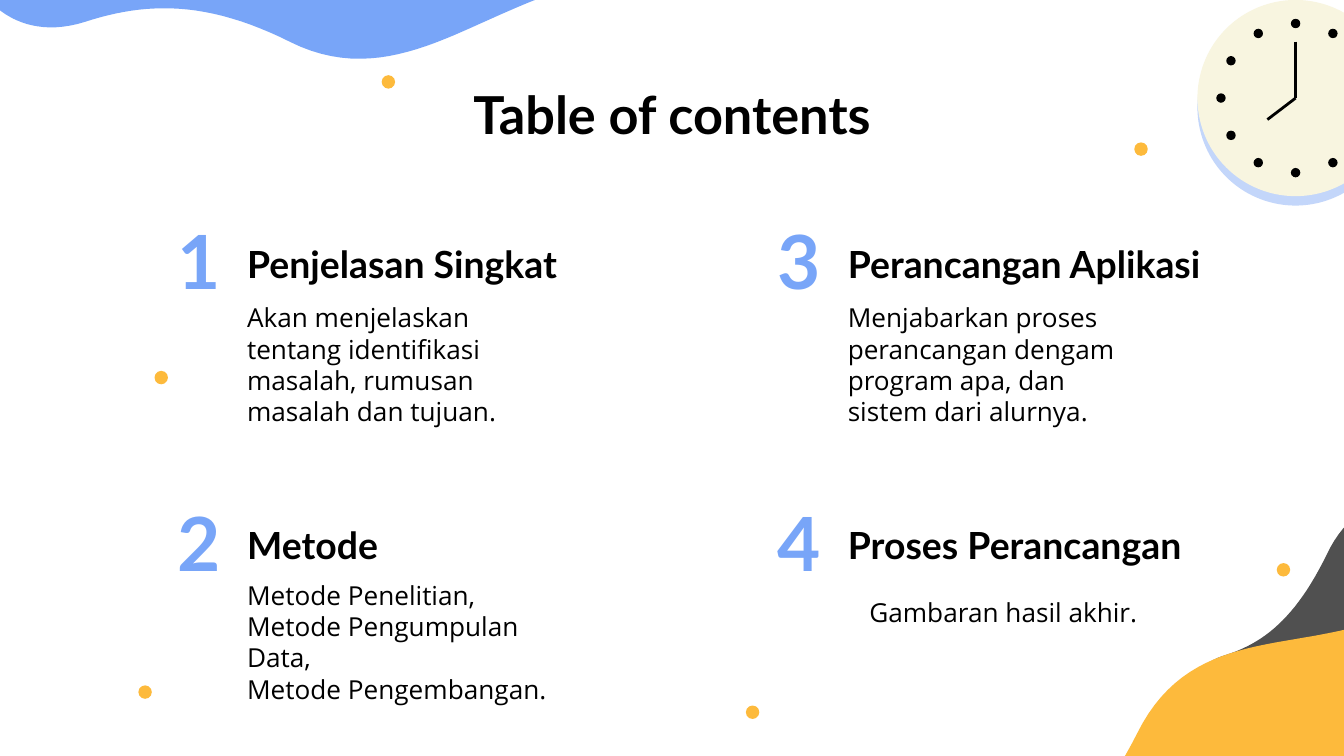
from math import cos, radians, sin
from lxml.etree import SubElement
from pptx import Presentation
from pptx.dml.color import RGBColor
from pptx.enum.shapes import MSO_CONNECTOR, MSO_SHAPE
from pptx.enum.text import MSO_ANCHOR, PP_ALIGN
from pptx.oxml.ns import qn
from pptx.util import Pt

PX = 9144  # EMU per px, 100 px to the inch
WIDTH, HEIGHT = 1000, 562.5  # 16:9

COLORS = {"black": "000000", "blue": "78A5F8", "pale": "C3D6FA",
          "cream": "F8F5E0", "gold": "FDBA3C", "gray": "505050"}

# Content: number, its box height, heading, heading width,
# body paragraphs, body height, body indent
TITLE = "Table of contents"
TOPICS = [
    ("1", 55, "Penjelasan Singkat", 282,
     ["Akan menjelaskan tentang identifikasi masalah, rumusan masalah dan tujuan."], 105, 0),
    ("2", 57, "Metode", 282,
     ["Metode Penelitian, Metode Pengumpulan Data,", "Metode Pengembangan."], 99, 0),
    ("3", 61, "Perancangan Aplikasi", 312,
     ["Menjabarkan proses perancangan dengam program apa, dan sistem dari alurnya."], 105, 0),
    ("4", 67, "Proses Perancangan", 282, ["Gambaran hasil akhir."], 55, 16),
]
LEFT, TOP, COL, ROW = 122, 169, 447, 209.5  # first topic and grid steps

STYLES = {
    "title": {"size": Pt(28), "name": "Lato", "bold": True, "color": "black"},
    "head": {"size": Pt(20), "name": "Lato", "bold": True, "color": "black"},
    "number": {"size": Pt(40), "name": "Lato", "bold": True, "color": "blue"},
    "body": {"size": Pt(14), "name": "Open Sans", "bold": False, "color": "black"},
}

# Waves: color, rotation, start, curves (two controls and an end), straight corners
WAVES = [
    ("gray", 0, (1173, 327),
     [((1173, 327), (1123, 351), (1086, 359)), ((1049, 367), (1009, 366), (987, 413)),
      ((964, 460), (940, 479), (910, 488)), ((880, 498), (878, 529), (878, 529))],
     [(1157, 529)]),
    ("gold", 0, (1115, 427),
     [((1115, 427), (1043, 461), (989, 471)), ((935, 482), (878, 481), (846, 546)),
      ((813, 611), (778, 636), (735, 650)), ((691, 663), (688, 705), (688, 705))],
     [(1092, 705)]),
    ("blue", 147.6, (523, -35),
     [((523, -35), (440, -19), (385, 5)), ((330, 28), (278, 62), (216, 31)),
      ((154, 0), (109, 1), (63, 16)), ((16, 31), (-8, 0), (-8, 0))],
     [(365, -237)]),
]
PIVOT = (257.5, -17.5)  # centre of the rotated wave
STEPS = 24

DOTS = [(284, 56), (555, 525), (844, 106), (950, 419), (103, 510), (115, 276)]
DOT = 10

# Clock
HUB, RADIUS, RING, MARK = (964, 73), 73, 55.5, 7
HOURS = [12, 11, 10, 9, 8, 7, 6, 5, 1]
HANDS = [((964, 31), HUB), ((943, 89), HUB)]


def emu(*vals):
    return [round(v * PX) for v in vals]


def rgb(name):
    return RGBColor.from_string(COLORS[name])


def paint(shape, color):
    shape.shadow.inherit = False
    shape.fill.solid()
    shape.fill.fore_color.rgb = rgb(color)
    shape.line.fill.background()


def disc(shapes, x, y, size, color):
    paint(shapes.add_shape(MSO_SHAPE.OVAL, *emu(x, y, size, size)), color)


def turn(point, angle):
    a = radians(angle)
    dx, dy = point[0] - PIVOT[0], point[1] - PIVOT[1]
    return (PIVOT[0] + dx * cos(a) - dy * sin(a),
            PIVOT[1] + dx * sin(a) + dy * cos(a))


def bend(a, b, c, d):
    for i in range(1, STEPS + 1):
        t = i / STEPS
        u = 1 - t
        yield tuple(u**3 * p + 3 * u * u * t * q + 3 * u * t * t * r + t**3 * s
                    for p, q, r, s in zip(a, b, c, d))


def wave(shapes, color, angle, start, curves, corners):
    points = [start]
    for curve in curves:
        points.extend(bend(points[-1], *curve))
    points = [emu(*turn(p, -angle)) for p in points + corners]
    pen = shapes.build_freeform(*points[0], scale=1.0)
    pen.add_line_segments(points[1:], close=True)
    shape = pen.convert_to_shape()
    shape.rotation = angle
    paint(shape, color)


def label(shapes, box, lines, style, align=PP_ALIGN.LEFT, spacing=1.0):
    frame = shapes.add_textbox(*emu(*box)).text_frame
    margins = {f"margin_{side}": 10 * PX for side in ("left", "top", "right", "bottom")}
    for key, val in {"word_wrap": True, "vertical_anchor": MSO_ANCHOR.MIDDLE, **margins}.items():
        setattr(frame, key, val)
    frame.text = "\n".join(lines)
    for para in frame.paragraphs:
        para.alignment, para.line_spacing = align, spacing
        font = para.runs[0].font
        for key, val in STYLES[style].items():
            if key == "color":
                font.color.rgb = rgb(val)
            else:
                setattr(font, key, val)


def clock(shapes):
    x, y = HUB
    for drop, color in ((7, "pale"), (0, "cream")):
        disc(shapes, x - RADIUS, y - RADIUS + drop, 2 * RADIUS, color)
    for hour in HOURS:
        a = radians(30 * hour)
        disc(shapes, x + RING * sin(a) - MARK / 2, y - RING * cos(a) - MARK / 2, MARK, "black")
    for tip, hub in HANDS:
        hand = shapes.add_connector(MSO_CONNECTOR.STRAIGHT, *emu(*tip, *hub))
        hand.line.color.rgb = rgb("black")
        hand.line.width = Pt(1.5)
        SubElement(hand.element.spPr, qn("a:effectLst"))


def main():
    deck = Presentation()
    deck.slide_width, deck.slide_height = emu(WIDTH, HEIGHT)
    shapes = deck.slides.add_slide(deck.slide_layouts[6]).shapes

    # Background decoration
    for item in WAVES:
        wave(shapes, *item)
    for x, y in DOTS:
        disc(shapes, x, y, DOT, "gold")

    # Title and topics, filled down each column
    label(shapes, (78, 59.5, 844, 50), [TITLE], "title", PP_ALIGN.CENTER)
    for i, (number, tall, head, wide, body, deep, shift) in enumerate(TOPICS):
        col, row = divmod(i, 2)
        x, y = LEFT + col * COL, TOP + row * ROW
        mid = y + 24.5
        label(shapes, (x, mid - tall / 2, 52, tall), [number], "number")
        label(shapes, (x + 52, y, wide, 49), [head], "head", spacing=1.15)
        label(shapes, (x + 52 + shift, y + 49.5, 244, deep), body, "body")

    clock(shapes.add_group_shape().shapes)
    deck.save("out.pptx")


if __name__ == "__main__":
    main()
